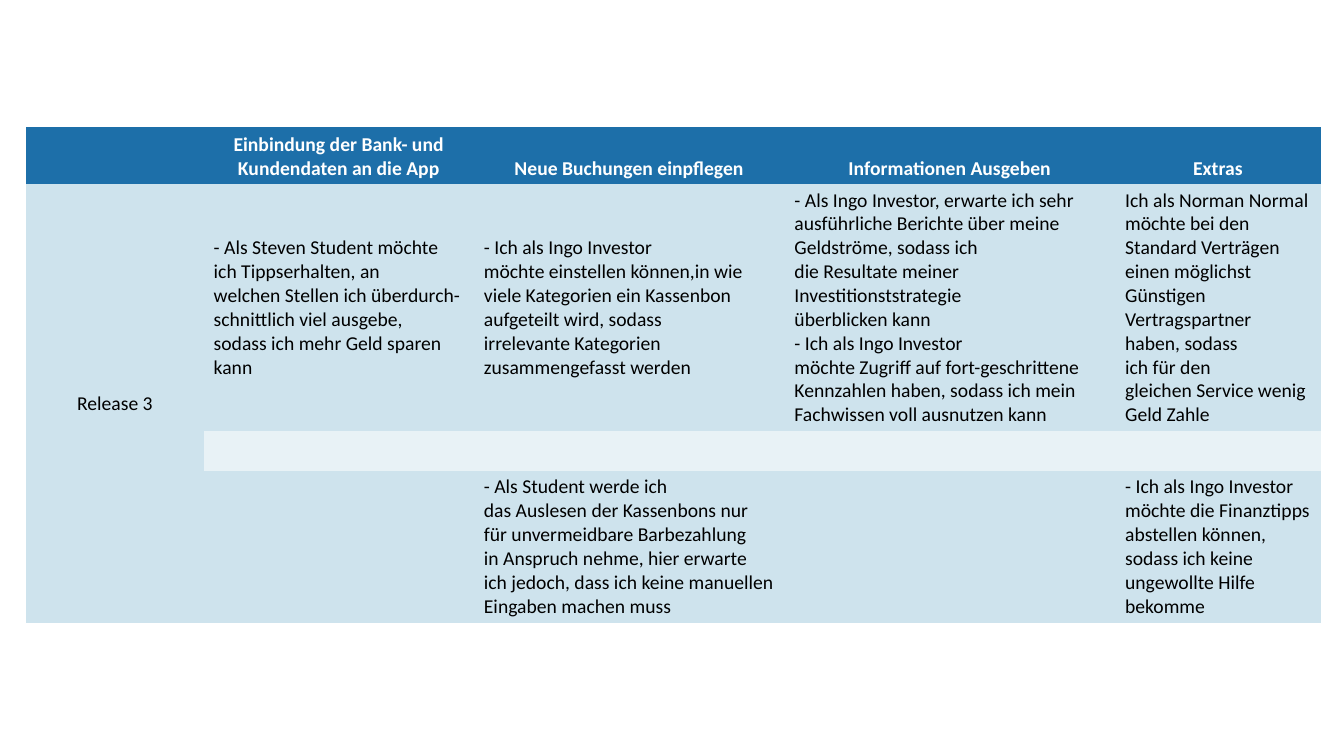
from dataclasses import dataclass

from pptx import Presentation, util as u
from pptx.dml.color import RGBColor
from pptx.enum import text
from pptx.oxml.ns import qn

HEADER_BLUE = RGBColor(0x1D, 0x6F, 0xA9)
BAND_DARK = RGBColor(0xCE, 0xE3, 0xED)
BAND_LIGHT = RGBColor(0xE8, 0xF2, 0xF6)
WHITE = RGBColor(0xFF, 0xFF, 0xFF)
BLACK = RGBColor(0, 0, 0)

NO_STYLE_NO_GRID = "{2D5ABB26-0587-4C30-8999-92F81FD0307C}"
NO_BREAK_SPACE = chr(160)
COLUMN_WIDTHS = (1.76, 2.68, 3.08, 3.28, 2.04)


@dataclass
class StoryRow:
    height: float
    fill: RGBColor
    cells: tuple[str, ...]


# "\n" starts a new line, "\n\n" a new paragraph, "~" stands for a no-break space.
ROWS = (
    StoryRow(0.57, HEADER_BLUE, (
        "",
        "Einbindung der Bank- und Kundendaten an die App",
        "Neue Buchungen einpflegen",
        "Informationen Ausgeben",
        "Extras",
    )),
    StoryRow(2.44, BAND_DARK, (
        "Release 3",
        "- Als Steven Student möchte ich~Tippserhalten, an welchen~Stellen~ich~"
        "überdurch-schnittlich viel ausgebe, sodass~ich mehr Geld~sparen kann",
        "- Ich als Ingo Investor möchte~einstellen können,in wie viele Kategorien "
        "ein~Kassenbon aufgeteilt~wird, sodass irrelevante~Kategorien "
        "zusammengefasst werden",
        "- Als Ingo Investor, erwarte ich~sehr ausführliche~Berichte über meine "
        "Geldströme,~sodass ich die~Resultate~meiner~\n\n"
        "Investitionststrategie\nüberblicken kann\n"
        "- Ich als Ingo Investor möchte~Zugriff~auf fort-geschrittene Kennzahlen "
        "haben,~sodass ich mein\nFachwissen~voll ausnutzen kann",
        "Ich als Norman Normal möchte bei den\nStandard Verträgen einen möglichst\n"
        "Günstigen Vertragspartner haben, sodass\n"
        "ich für den gleichen~Service~wenig~Geld~Zahle",
    )),
    StoryRow(0.4, BAND_LIGHT, ("",) * 5),
    StoryRow(1.5, BAND_DARK, (
        "",
        "",
        "- Als Student werde ich das~Auslesen der Kassenbons nur "
        "für~unvermeidbare Barbezahlung in~Anspruch nehme, hier erwarte "
        "ich~jedoch, dass~ich~keine manuellen Eingaben~machen muss",
        "",
        "- Ich als Ingo Investor möchte~die Finanztipps\n"
        "abstellen können, sodass ich keine\nungewollte Hilfe bekomme",
    )),
)


def write_text(cell, content: str, *, color: RGBColor, bold: bool = False,
               align=text.PP_ALIGN.LEFT, anchor=text.MSO_ANCHOR.MIDDLE) -> None:
    cell.vertical_anchor = anchor
    frame = cell.text_frame
    for index, block in enumerate(content.replace("~", NO_BREAK_SPACE).split("\n\n")):
        para = frame.add_paragraph() if index else frame.paragraphs[0]
        para.alignment = align
        para.text = block
        for span in para.runs:
            span.font.name = "Calibri"
            span.font.size = u.Pt(14)
            span.font.bold = bold
            span.font.color.rgb = color


def add_story_map(page) -> None:
    table = page.shapes.add_table(
        len(ROWS), len(COLUMN_WIDTHS), u.Inches(0.26), u.Inches(1.26),
        u.Inches(sum(COLUMN_WIDTHS)), u.Inches(sum(row.height for row in ROWS)),
    ).table
    table._tbl.tblPr.find(qn("a:tableStyleId")).text = NO_STYLE_NO_GRID
    for column, width in zip(table.columns, COLUMN_WIDTHS):
        column.width = u.Inches(width)

    for r, row in enumerate(ROWS):
        table.rows[r].height = u.Inches(row.height)
        for c, content in enumerate(row.cells):
            cell = table.cell(r, c)
            cell.margin_top = cell.margin_bottom = u.Inches(0.04)
            cell.fill.solid()
            cell.fill.fore_color.rgb = row.fill
            if not content:
                continue
            if r == 0:
                write_text(cell, content, color=WHITE, bold=True,
                           align=text.PP_ALIGN.CENTER, anchor=text.MSO_ANCHOR.BOTTOM)
            else:
                align = text.PP_ALIGN.LEFT if c else text.PP_ALIGN.CENTER
                write_text(cell, content, color=BLACK, align=align)
    table.cell(1, 0).merge(table.cell(3, 0))


def main() -> None:
    deck = Presentation()
    deck.slide_width = u.Inches(13.33)
    deck.slide_height = u.Inches(7.5)
    add_story_map(deck.slides.add_slide(deck.slide_layouts[6]))
    deck.save("out.pptx")


if __name__ == "__main__":
    main()
